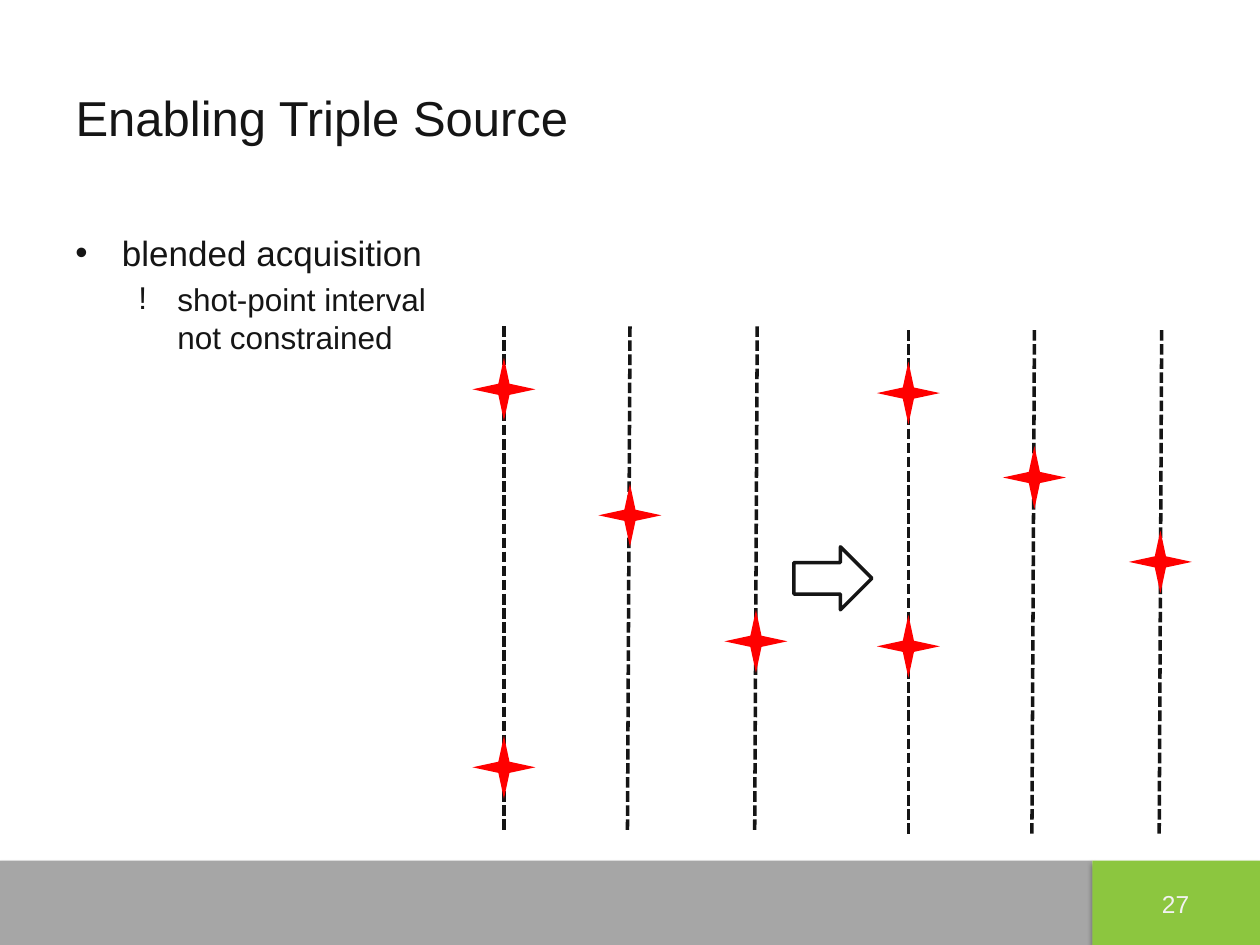
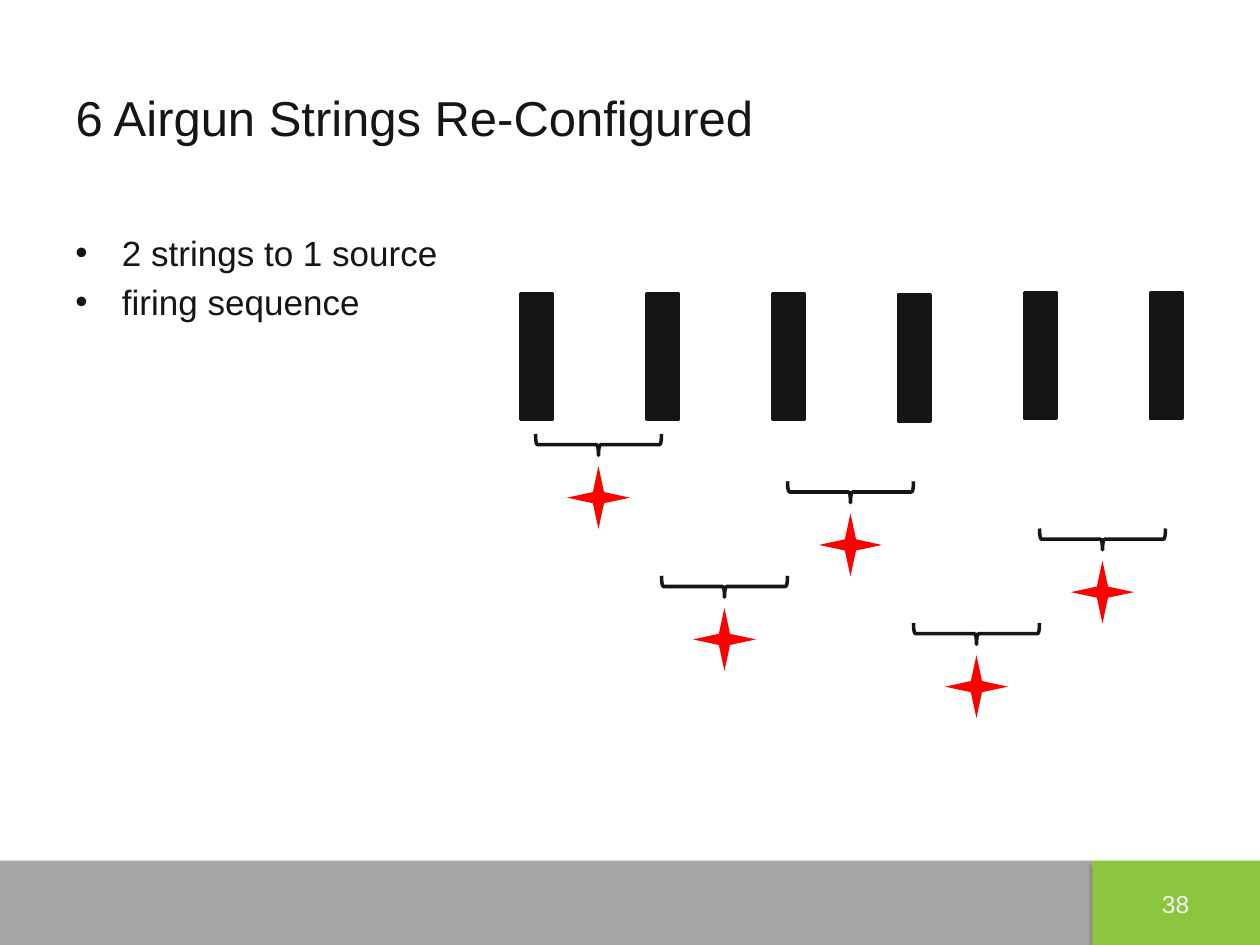
from dataclasses import dataclass

from lxml import etree
from pptx import Presentation
from pptx.dml.color import RGBColor
from pptx.enum.dml import MSO_LINE
from pptx.enum.shapes import MSO_CONNECTOR, MSO_SHAPE
from pptx.enum.text import MSO_ANCHOR, MSO_AUTO_SIZE, PP_ALIGN
from pptx.oxml.ns import qn
from pptx.util import Inches, Pt

INK = RGBColor(0x15, 0x15, 0x15)
RED = RGBColor(0xFF, 0x00, 0x00)
GREY = RGBColor(0xA6, 0xA6, 0xA6)
GREEN = RGBColor(0x8C, 0xC6, 0x3F)
PALE = RGBColor(0xF2, 0xF2, 0xF2)
FONT = "Arial"
LINE_WIDTH = Pt(2)
TITLE_ONLY = 5

RECTANGLE = MSO_SHAPE.RECTANGLE
STAR = MSO_SHAPE.STAR_4_POINT
BRACE = MSO_SHAPE.RIGHT_BRACE
ARROW = MSO_SHAPE.RIGHT_ARROW
STRAIGHT = MSO_CONNECTOR.STRAIGHT
DASH = MSO_LINE.SQUARE_DOT
LEFT, CENTER = PP_ALIGN.LEFT, PP_ALIGN.CENTER
MIDDLE = MSO_ANCHOR.MIDDLE
GROW = MSO_AUTO_SIZE.SHAPE_TO_FIT_TEXT

STAR_SIZE = 0.5


@dataclass(frozen=True)
class BulletStyle:
    mark: str
    size: float
    indent: float
    hanging: float
    space_before: float


@dataclass(frozen=True)
class Bullet:
    lines: tuple[str, ...]
    style: BulletStyle


@dataclass(frozen=True)
class Band:
    left: float
    width: float
    color: RGBColor


@dataclass(frozen=True)
class ShotPattern:
    """Three sail lines with shots fired on each in turn."""
    left: float
    top: float
    shot_interval: float


MAIN = BulletStyle("•", 20, 0.37, 0.37, 4)
SUB = BulletStyle("!", 18, 0.81, 0.31, 3.6)

BANDS = (Band(0, 8.67, GREY), Band(8.67, 1.33, GREEN))
BAND_TOP, BAND_HEIGHT = 6.83, 0.67

SAIL_LINE_LENGTH = 4
SAIL_LINE_ENDS = ((0, 0), (0, -0.02), (0.01, -0.01))
SHOT_COUNT = 4
FIRST_SHOT_OFFSET = 0.5
SHOT_PATTERNS = (ShotPattern(7.21, 2.62, 0.67), ShotPattern(4, 2.59, 1))

STRING_TOPS = (2.33, 2.33, 2.33, 2.34, 2.32, 2.32)
STRING_LEFT = 4.13
SOURCE_COUNT = 5
FIRST_SOURCE_X = 4.75
FIRST_BRACE_Y, FIRST_STAR_Y = 3.53, 3.95
FIRING_STEP = 1.5 / 4


def add_shape(shapes, kind, left: float, top: float, width: float, height: float,
              fill: RGBColor | None = None, line: RGBColor | None = None):
    shape = shapes.add_shape(kind, Inches(left), Inches(top), Inches(width), Inches(height))
    shape.shadow.inherit = False
    if fill is None:
        shape.fill.background()
    else:
        shape.fill.solid()
        shape.fill.fore_color.rgb = fill
    if line is None:
        shape.line.fill.background()
    else:
        shape.line.color.rgb = line
        shape.line.width = LINE_WIDTH
    return shape


def add_star(shapes, center_x: float, center_y: float) -> None:
    star = add_shape(shapes, STAR, center_x - STAR_SIZE / 2, center_y - STAR_SIZE / 2,
                     STAR_SIZE, STAR_SIZE, fill=RED)
    star.adjustments[0] = 0.125


def add_brace(shapes, center_x: float, center_y: float) -> None:
    """Add a brace one inch wide that points down."""
    thickness, span = 0.17, 1
    brace = add_shape(shapes, BRACE, center_x - thickness / 2, center_y - span / 2,
                      thickness, span, line=INK)
    brace.adjustments[0] = 0.083
    brace.rotation = 90


def add_sail_line(shapes, start_x: float, end_x: float, top: float) -> None:
    connector = shapes.add_connector(STRAIGHT, Inches(start_x), Inches(top),
                                     Inches(end_x), Inches(top + SAIL_LINE_LENGTH))
    connector.line.color.rgb = INK
    connector.line.width = LINE_WIDTH
    connector.line.dash_style = DASH
    etree.SubElement(connector._element.spPr, qn("a:effectLst"))


def add_soft_shadow(shape) -> None:
    effects = shape._element.spPr.find(qn("a:effectLst"))
    shadow = etree.SubElement(effects, qn("a:outerShdw"), blurRad=str(Pt(3.1)),
                              dist=str(Pt(1.8)), dir="5400000", rotWithShape="0")
    color = etree.SubElement(shadow, qn("a:srgbClr"), val="000000")
    etree.SubElement(color, qn("a:alpha"), val="35000")


def add_run(paragraph, text: str, size: float, color: RGBColor) -> None:
    run = paragraph.add_run()
    run.text = text
    run.font.name = FONT
    run.font.size = Pt(size)
    run.font.color.rgb = color


def set_bullet(paragraph, style: BulletStyle) -> None:
    properties = paragraph._p.get_or_add_pPr()
    properties.set("marL", str(Inches(style.indent)))
    properties.set("indent", str(-Inches(style.hanging)))
    color = etree.SubElement(properties, qn("a:buClr"))
    etree.SubElement(color, qn("a:srgbClr"), val=str(INK))
    etree.SubElement(properties, qn("a:buFont"), typeface=FONT)
    etree.SubElement(properties, qn("a:buChar"), char=style.mark)


def add_body(slide, bullets: tuple[Bullet, ...]) -> None:
    frame = slide.shapes.add_textbox(Inches(0.5), Inches(1.75),
                                     Inches(9), Inches(4.95)).text_frame
    frame.word_wrap = True
    frame.margin_top = Inches(0.09)
    for index, bullet in enumerate(bullets):
        paragraph = frame.add_paragraph() if index else frame.paragraphs[0]
        set_bullet(paragraph, bullet.style)
        if index:
            paragraph.space_before = Pt(bullet.style.space_before)
        for line_index, line in enumerate(bullet.lines):
            if line_index:
                paragraph.add_line_break()
            add_run(paragraph, line, bullet.style.size, INK)


def add_footer(slide, number: str) -> None:
    for band in BANDS:
        add_soft_shadow(add_shape(slide.shapes, RECTANGLE, band.left, BAND_TOP,
                                  band.width, BAND_HEIGHT, fill=band.color))
    frame = slide.shapes.add_textbox(Inches(9.06), Inches(7.01),
                                     Inches(0.54), Inches(0.33)).text_frame
    frame.word_wrap = True
    frame.auto_size = GROW
    frame.paragraphs[0].alignment = CENTER
    add_run(frame.paragraphs[0], number, 14, PALE)


def set_title(slide, text: str) -> None:
    title = slide.shapes.title
    title.left, title.top = Inches(0.5), Inches(0.3)
    title.width, title.height = Inches(9), Inches(1.25)
    title.text_frame.vertical_anchor = MIDDLE
    paragraph = title.text_frame.paragraphs[0]
    paragraph.alignment = LEFT
    add_run(paragraph, text, 28, INK)


def add_slide(presentation, title: str, number: str, bullets: tuple[Bullet, ...]):
    slide = presentation.slides.add_slide(presentation.slide_layouts[TITLE_ONLY])
    add_footer(slide, number)
    set_title(slide, title)
    add_body(slide, bullets)
    return slide


def draw_shot_pattern(slide, pattern: ShotPattern) -> None:
    shapes = slide.shapes.add_group_shape().shapes
    for column, (start, end) in enumerate(SAIL_LINE_ENDS):
        x = pattern.left + column
        add_sail_line(shapes, x + start, x + end, pattern.top)
    for shot in range(SHOT_COUNT):
        add_star(shapes, pattern.left + shot % len(SAIL_LINE_ENDS),
                 pattern.top + FIRST_SHOT_OFFSET + shot * pattern.shot_interval)


def draw_airgun_strings(slide) -> None:
    shapes = slide.shapes.add_group_shape().shapes
    for column, top in enumerate(STRING_TOPS):
        add_shape(shapes, RECTANGLE, STRING_LEFT + column, top, 0.25, 1, fill=INK, line=INK)
    for shot in range(SOURCE_COUNT):
        # Every second source fires next, wrapping round to those skipped.
        x = FIRST_SOURCE_X + 2 * shot % SOURCE_COUNT
        drop = shot * FIRING_STEP
        add_brace(shapes, x, FIRST_BRACE_Y + drop)
        add_star(shapes, x, FIRST_STAR_Y + drop)


def main() -> None:
    presentation = Presentation()
    presentation.slide_width = Inches(10)
    presentation.slide_height = Inches(7.5)

    triple_source = add_slide(presentation, "Enabling Triple Source", "27", (
        Bullet(("blended acquisition",), MAIN),
        Bullet(("shot-point interval", "not constrained"), SUB),
    ))
    for pattern in SHOT_PATTERNS:
        draw_shot_pattern(triple_source, pattern)
    add_shape(triple_source.shapes, ARROW, 6.3, 4.34, 0.62, 0.5, line=INK)

    airgun_strings = add_slide(presentation, "6 Airgun Strings Re-Configured", "38", (
        Bullet(("2 strings to 1 source",), MAIN),
        Bullet(("firing sequence",), MAIN),
    ))
    draw_airgun_strings(airgun_strings)

    presentation.save("out.pptx")


if __name__ == "__main__":
    main()
